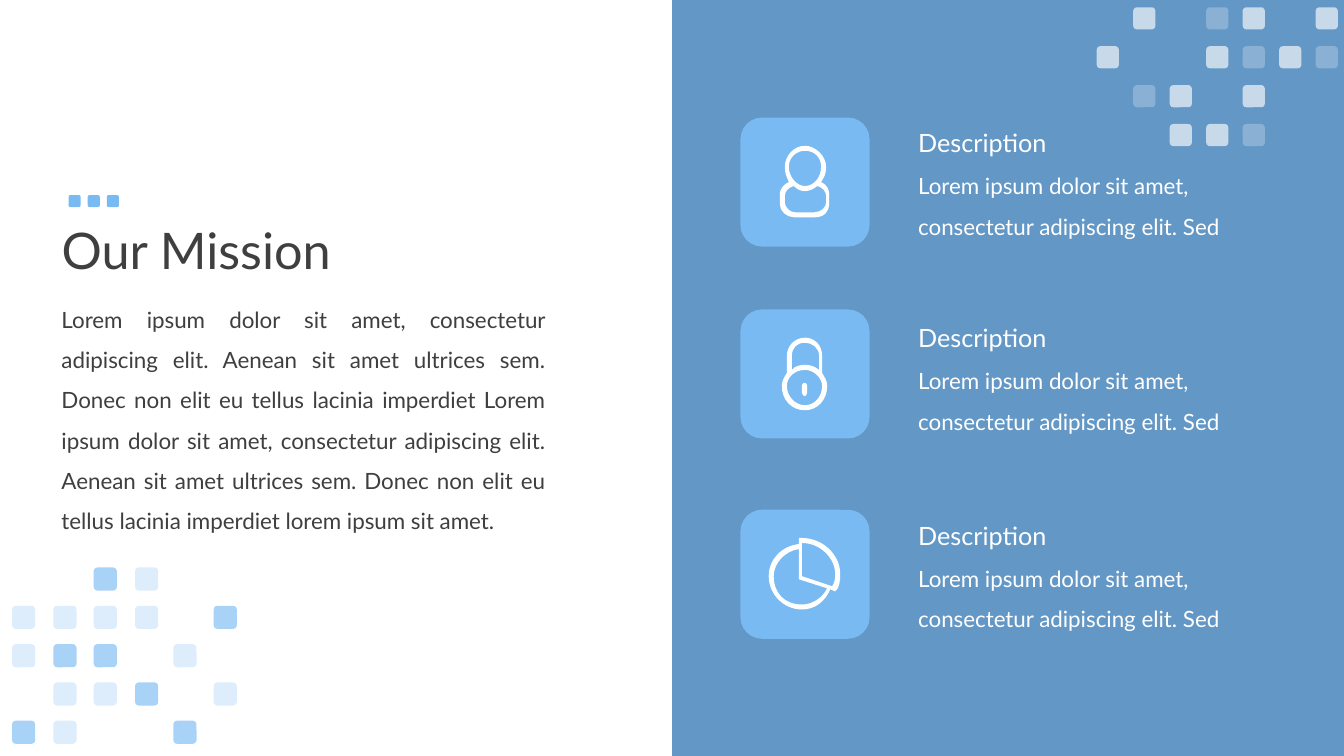
import pptx
import pptx.util
import pptx.dml.color
import pptx.enum.shapes
import pptx.enum.text
import pptx.oxml.ns
import lxml.etree

COLORS = {"panel": "1060A6", "sky": "7ABAF2", "ink": "3F3F3F", "white": "FFFFFF"}
CELL = pptx.util.Inches(0.1)  # the slide is a grid of 133.33 columns by 75 rows
ROUNDED = pptx.enum.shapes.MSO_SHAPE.ROUNDED_RECTANGLE
ALIGN = pptx.enum.text.PP_ALIGN
FIT = pptx.enum.text.MSO_AUTO_SIZE


def paint(shape, color, opacity=100):
    shape.shadow.inherit = False
    shape.line.fill.background()
    shape.fill.solid()
    shape.fill.fore_color.rgb = pptx.dml.color.RGBColor.from_string(COLORS[color])
    if opacity < 100:
        tint = shape.fill._xPr.find(".//" + pptx.oxml.ns.qn("a:srgbClr"))
        lxml.etree.SubElement(tint, pptx.oxml.ns.qn("a:alpha"), val=str(opacity * 1000))


def write(box, text, size=16, color="white", spacing=1.0, align=ALIGN.LEFT, fit=FIT.SHAPE_TO_FIT_TEXT):
    frame = box.text_frame
    frame.word_wrap = True
    frame.auto_size = fit
    para = frame.paragraphs[0]
    para.alignment = align
    para.line_spacing = spacing
    span = para.add_run()
    span.text = text
    span.font.name = "Lato"
    span.font.size = pptx.util.Pt(size)
    span.font.color.rgb = pptx.dml.color.RGBColor.from_string(COLORS[color])


deck = pptx.Presentation()
deck.slide_width = round(133.33 * CELL)
deck.slide_height = 75 * CELL
page = deck.slides.add_slide(deck.slide_layouts.get_by_name("Title Only"))
shapes = page.shapes

# Right-hand panel
half = deck.slide_width // 2
panel = shapes.add_shape(pptx.enum.shapes.MSO_SHAPE.RECTANGLE, half, 0, half, deck.slide_height)
paint(panel, "panel", 65)

# Title and mission statement
title = shapes.title
title.left, title.top, title.width, title.height = [round(n * CELL) for n in (5.12, 16.8, 115, 16.7)]
title.text_frame.vertical_anchor = pptx.enum.text.MSO_ANCHOR.MIDDLE
write(title, "Our Mission", size=36, color="ink", spacing=0.9, fit=FIT.NONE)

mission = shapes.add_textbox(*[round(n * CELL) for n in (5.12, 28.54, 50, 24.7)])
write(
    mission,
    "Lorem ipsum dolor sit amet, consectetur adipiscing elit. Aenean sit amet ultrices sem. "
    "Donec non elit eu tellus lacinia imperdiet Lorem ipsum dolor sit amet, consectetur "
    "adipiscing elit. Aenean sit amet ultrices sem. Donec non elit eu tellus lacinia imperdiet "
    "lorem ipsum sit amet.",
    color="ink", spacing=1.5, align=ALIGN.JUSTIFY,
)

# Three rows of tile, copy and heading
tiles = []
for tile_top in (11.66, 30.7, 50.57):
    tile = shapes.add_shape(ROUNDED, *[round(n * CELL) for n in (73.46, tile_top, 12.8, 12.8)])
    paint(tile, "sky")
    tiles.append(tile)
for heading_top in (12.15, 31.5, 51.1):
    copy_box = shapes.add_textbox(*[round(n * CELL) for n in (90.1, heading_top + 3.15, 39.8, 8.6)])
    write(copy_box, "Lorem ipsum dolor sit amet, consectetur adipiscing elit. Sed", spacing=1.5)
    heading = shapes.add_textbox(*[round(n * CELL) for n in (90.1, heading_top, 23.5, 4)])
    write(heading, "Description", size=18)

# Mosaics of small squares: @ solid, # strong, o faint, - empty
OPACITY = {"@": 100, "#": 65, "o": 25}
MOSAICS = [
    # color, column lefts, top, row pitch, square side, pattern
    ("sky", (6.8, 8.7, 10.6), 19.35, 1.9, 1.2, ["@@@"]),
    ("white", [108.8 + 3.62 * n for n in range(7)], 0.72, 3.86, 2.2,
     ["-#-o#-#", "#--#o#o", "-o#-#--", "--##o--"]),
    ("sky", (1.2, 5.3, 9.3, 13.4, 17.2, 21.2), 56.3, 3.8, 2.3,
     ["--#o--", "oooo-#", "o##-o-", "-oo#-o", "#o--#-"]),
]
for color, lefts, top, row_pitch, side, pattern in MOSAICS:
    mosaic = shapes.add_group_shape()
    for row, marks in enumerate(pattern):
        for left, mark in zip(lefts, marks):
            if mark in OPACITY:
                place = (left, top + row * row_pitch, side, side)
                square = mosaic.shapes.add_shape(ROUNDED, *[round(n * CELL) for n in place])
                paint(square, color, OPACITY[mark])

# Icon outlines in hundredths of an inch from the tile corner:
# each contour starts at a point, then pairs are lines and sixes are Bezier curves
PERSON = [
    [(80, 64), (83, 59, 85, 56, 85, 49), (85, 38, 74, 28, 64, 28), (53, 28, 44, 38, 44, 49),
     (44, 56, 46, 59, 48, 64), (43, 66, 39, 71, 39, 76), (39, 86), (39, 93, 46, 99, 53, 99),
     (74, 99), (83, 99, 88, 93, 88, 86), (88, 76), (88, 71, 85, 66, 80, 64)],
    [(48, 49), (48, 39, 56, 33, 64, 33), (73, 33, 80, 39, 80, 49), (80, 59, 73, 68, 64, 68),
     (56, 68, 48, 59, 48, 49)],
    [(85, 84), (85, 89, 80, 94, 73, 94), (54, 94), (49, 94, 44, 89, 44, 84), (44, 78),
     (44, 73, 48, 69, 53, 68), (56, 71, 59, 73, 64, 73), (68, 73, 73, 71, 76, 68),
     (81, 69, 85, 73, 85, 78)],
]
PADLOCK = [
    [(64, 73), (63, 73, 61, 73, 61, 75), (61, 83), (61, 85, 63, 86, 64, 86),
     (64, 86, 66, 85, 66, 83), (66, 75), (66, 73, 64, 73, 64, 73)],
    [(81, 63), (81, 46), (81, 36, 74, 28, 64, 28), (54, 28, 46, 36, 46, 46), (46, 63),
     (43, 68, 41, 71, 41, 76), (41, 90, 51, 100, 64, 100), (76, 100, 86, 90, 86, 76),
     (86, 71, 84, 68, 81, 63)],
    [(51, 46), (51, 38, 56, 33, 64, 33), (71, 33, 78, 38, 78, 46), (78, 60),
     (73, 56, 69, 55, 64, 55), (59, 55, 54, 56, 51, 60)],
    [(64, 95), (54, 95, 46, 86, 46, 76), (46, 67, 54, 60, 64, 60), (73, 60, 81, 68, 81, 76),
     (81, 86, 74, 95, 64, 95)],
]
PIE = [
    [(61, 28), (58, 28), (58, 34), (41, 36, 28, 49, 28, 66), (28, 84, 43, 99, 61, 99),
     (74, 99, 84, 91, 89, 79), (94, 81), (98, 78, 99, 71, 99, 64), (99, 44, 81, 28, 61, 28)],
    [(61, 94), (44, 94, 33, 83, 33, 66), (33, 53, 44, 41, 58, 39), (58, 69), (86, 78),
     (81, 88, 71, 94, 61, 94)],
    [(91, 76), (61, 66), (61, 33), (79, 33, 94, 48, 94, 64), (94, 69, 93, 73, 91, 76)],
]
UNIT = CELL // 10
for tile, contours in zip(tiles, (PERSON, PADLOCK, PIE)):
    outline = shapes.build_freeform(*[n * UNIT for n in contours[0][0]])
    for contour in contours:
        if contour is not contours[0]:
            outline.move_to(*[n * UNIT for n in contour[0]])
        outline.add_line_segments([(s[-2] * UNIT, s[-1] * UNIT) for s in contour[1:]], close=True)
    icon = outline.convert_to_shape(tile.left, tile.top)
    paint(icon, "white")

    # Bend the sides that are curves
    shift = (icon.left - tile.left, icon.top - tile.top)
    sides = list(icon.element.iter(pptx.oxml.ns.qn("a:lnTo")))
    segments = [segment for contour in contours for segment in contour[1:]]
    for line, segment in zip(sides, segments):
        if len(segment) == 6:
            curve = lxml.etree.Element(pptx.oxml.ns.qn("a:cubicBezTo"))
            for x, y in zip(segment[::2], segment[1::2]):
                lxml.etree.SubElement(curve, pptx.oxml.ns.qn("a:pt"),
                                      x=str(x * UNIT - shift[0]), y=str(y * UNIT - shift[1]))
            line.getparent().replace(line, curve)

deck.save("out.pptx")
